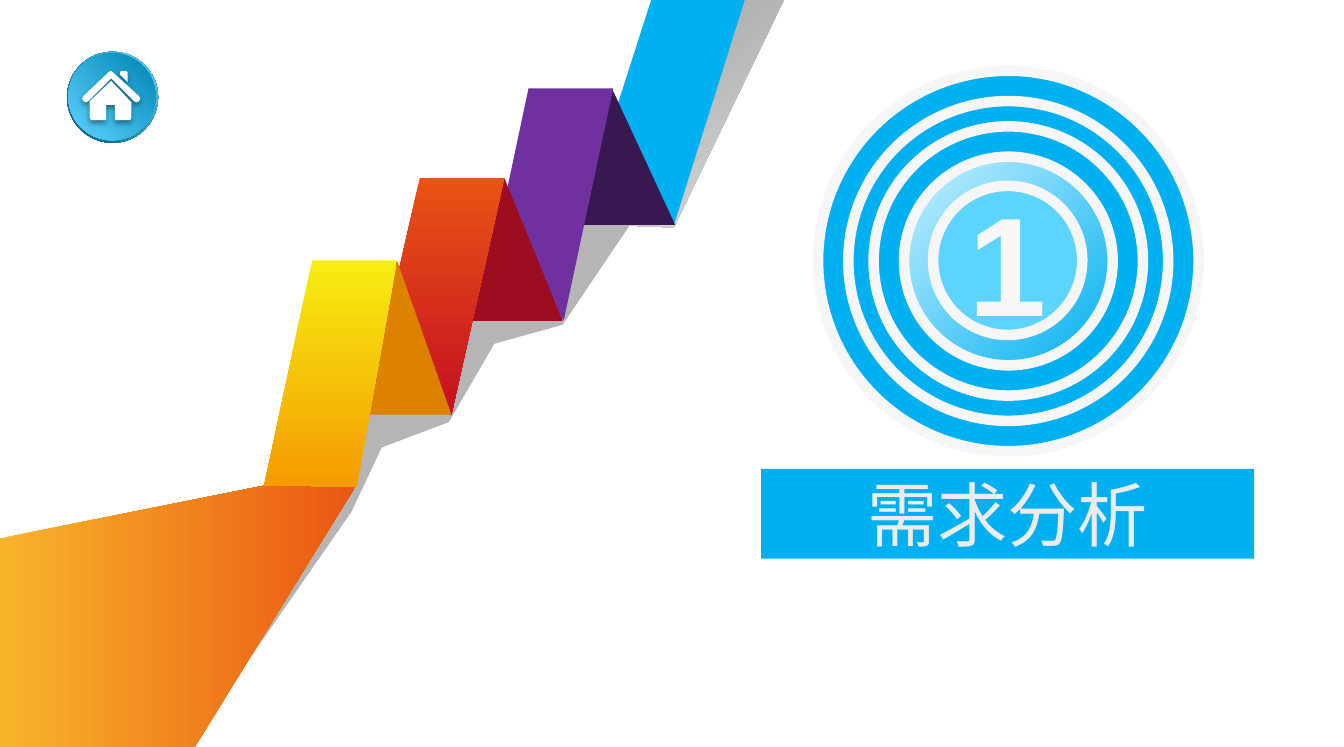
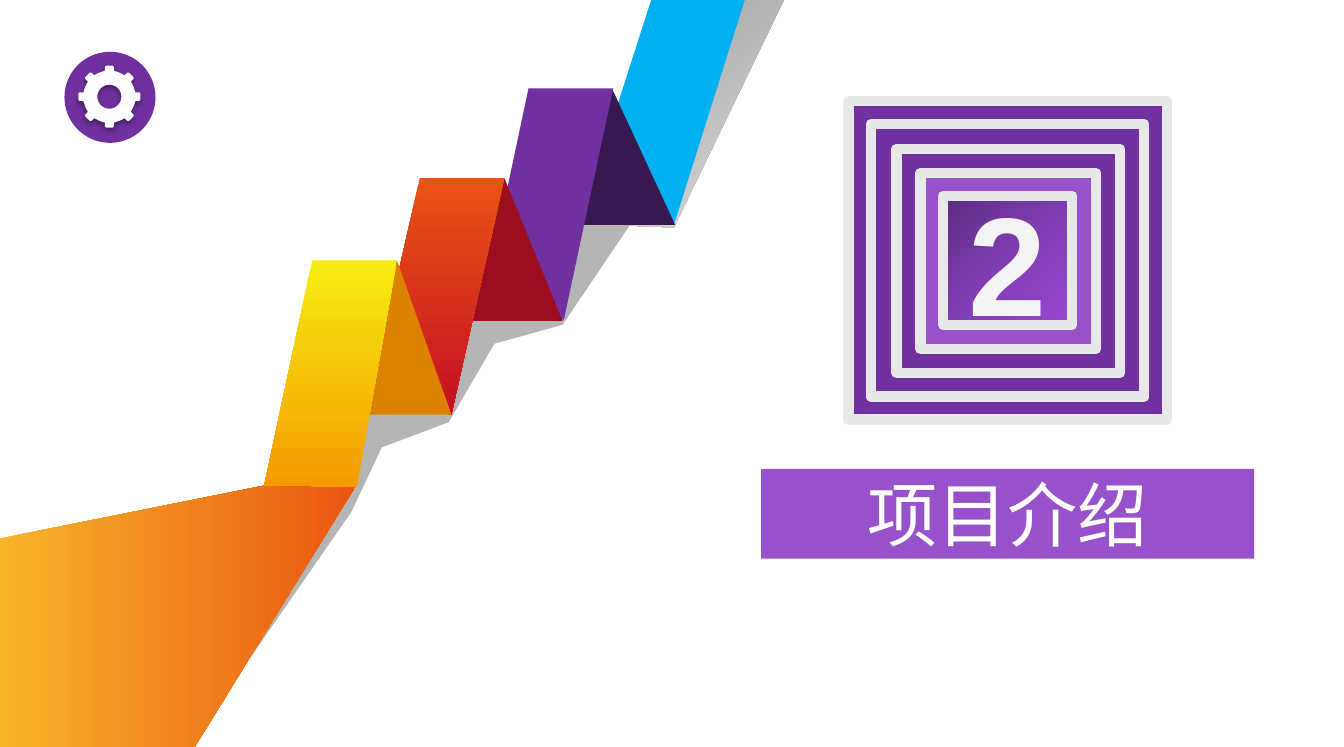
from math import cos, sin, pi, radians

from lxml import etree
from pptx import Presentation
from pptx.dml.color import RGBColor
from pptx.enum import shapes, text
from pptx.oxml import parse_xml
from pptx.oxml.ns import qn
from pptx.util import Pt

PX = 9144  # one px is a hundredth of an inch
NS = 'xmlns:a="http://schemas.openxmlformats.org/drawingml/2006/main"'
WHITE, BLUE, SKY, PURPLE, VIOLET = "FFFFFF", "00B0F0", "5DD4FF", "7030A0", "9751CB"
LATIN, CJK = "Arial", "Noto Sans CJK SC"
OVAL, RECT = shapes.MSO_SHAPE.OVAL, shapes.MSO_SHAPE.RECTANGLE
CX, CY = 797, 206  # centre of the number badge


def paint(sp, fill, line=None):
    """Fill is a hex string, or (hex stops, clockwise angle or "corner")."""
    sp.shadow.inherit = False
    if line:
        sp.line.color.rgb = RGBColor.from_string(line)
        sp.line.width = Pt(6)
    else:
        sp.line.fill.background()
    if isinstance(fill, str):
        sp.fill.solid()
        sp.fill.fore_color.rgb = RGBColor.from_string(fill)
        return sp
    stops, direction = fill
    gs = "".join(f'<a:gs pos="{100000 * i // (len(stops) - 1)}"><a:srgbClr val="{c}"/></a:gs>'
                 for i, c in enumerate(stops))
    if direction == "corner":
        way = '<a:path path="circle"><a:fillToRect l="100000" t="100000"/></a:path>'
    else:
        way = f'<a:lin ang="{direction * 60000}" scaled="0"/>'
    sp.fill.gradient()
    spPr = sp._element.spPr
    spPr.replace(spPr.find(qn("a:gradFill")),
                 parse_xml(f'<a:gradFill {NS} rotWithShape="1"><a:gsLst>{gs}</a:gsLst>{way}</a:gradFill>'))
    return sp


def outline(s, contours, fill):
    """Draw one freeform made of closed contours."""
    builder = None
    for contour in contours:
        (x, y), *rest = [(px * PX, py * PX) for px, py in contour]
        if builder is None:
            builder = s.shapes.build_freeform(x, y, scale=1.0)
        else:
            builder.move_to(x, y)
        builder.add_line_segments(rest, close=True)
    return paint(builder.convert_to_shape(), fill)


ribbon = [
    ([(483, 178), (534, 0), (620, 0), (533, 180)], (["9FA0A0", "DBDCDC"], 54)),
    ([(445, 257), (501, 174), (536, 154), (517, 120), (462, 150), (435, 196), (384, 221),
      (352, 273), (307, 293), (225, 418), (94, 484), (0, 586), (149, 591), (278, 405),
      (302, 354), (355, 334), (391, 272)], "B5B5B6"),
    ([(464, 159), (515, 0), (589, 0), (533, 178)], BLUE),
    ([(484, 70), (534, 178), (459, 178)], "381850"),
    ([(383, 235), (418, 70), (485, 70), (446, 253)], PURPLE),
    ([(399, 141), (445, 254), (371, 254)], "9C0D20"),
    ([(294, 309), (332, 141), (399, 141), (357, 328)], (["E95314", "C41023"], 90)),
    ([(314, 206), (357, 328), (282, 328)], "DD8100"),
    ([(0, 591), (0, 426), (210, 384), (281, 385), (154, 591)], (["F8B52B", "EA5712"], 0)),
    ([(209, 384), (247, 206), (314, 206), (282, 385)], (["F7ED11", "F49B01"], 90)),
]

house = [
    [(101, 57), (99, 56), (96, 56), (95, 57), (95, 59), (101, 65)],
    [(110, 76), (89, 57), (88, 56), (86, 57), (66, 76), (65, 78), (66, 80), (68, 81), (70, 80),
     (88, 62), (106, 80), (108, 81), (110, 80), (111, 78)],
    [(71, 80), (71, 93), (72, 95), (84, 95), (84, 83), (91, 83), (91, 95), (103, 95),
     (104, 93), (104, 81), (88, 64)],
]

GEAR_X, GEAR_Y = 86.5, 76.5
tooth = [(20.5, -3.5), (23.5, -3.5), (24.5, -2.5), (24.5, 2.5), (23.5, 3.5), (20.5, 3.5),
         (19.8, 6), (19, 8)]
rim = [(GEAR_X + a * cos(t) - b * sin(t), GEAR_Y + a * sin(t) + b * cos(t))
       for t in [k * pi / 4 for k in range(8)] for a, b in tooth]
hole = [(GEAR_X + 9.5 * cos(radians(d)), GEAR_Y - 9.5 * sin(radians(d))) for d in range(0, 360, 10)]

sections = [
    dict(title="需求分析", title_color="ECECEC", band=BLUE, number="1", number_color="F8F8F8",
         shape=OVAL, ring_line="F6F6F6",
         rings=[(301, BLUE), (253, BLUE), (213, BLUE), (165, ([BLUE, "C9F1FF"], "corner")), (118, SKY)],
         icon=house, icon_left=53,
         discs=[(["005878", SKY], 315), ([SKY, "0084B4"], 315)]),
    dict(title="项目介绍", title_color=WHITE, band=VIOLET, number="2", number_color="F4F4F4",
         shape=RECT, ring_line="E7E9E8",
         rings=[(252, PURPLE), (216, PURPLE), (177, PURPLE), (139, VIOLET),
                (102, (["5A2B7E", "803DB3", "9848D4"], 45))],
         icon=[rim, hole], icon_left=51, discs=[PURPLE, PURPLE]),
]

prs = Presentation()
prs.slide_width, prs.slide_height = 1063 * PX, 591 * PX

for sec in sections:
    s = prs.slides.add_slide(prs.slide_layouts[6])

    band = paint(s.shapes.add_shape(RECT, 602 * PX, 371 * PX, 390 * PX, 71 * PX), sec["band"])
    for size, fill in sec["rings"]:
        badge = paint(s.shapes.add_shape(sec["shape"], (CX - size // 2) * PX, (CY - size // 2) * PX,
                                         size * PX, size * PX), fill, sec["ring_line"])

    for sp, words, size, font, color, bold in (
            (band, sec["title"], 40, CJK, sec["title_color"], False),
            (badge, sec["number"], 80, LATIN, sec["number_color"], True)):
        tf = sp.text_frame
        tf.vertical_anchor = text.MSO_ANCHOR.MIDDLE
        p = tf.paragraphs[0]
        p.text = words
        p.alignment = text.PP_ALIGN.CENTER
        p.font.size, p.font.bold, p.font.name = Pt(size), bold, font
        p.font.color.rgb = RGBColor.from_string(color)
        etree.SubElement(p._p.pPr.find(qn("a:defRPr")), qn("a:ea"), typeface=font)

    for inset, size, fill in zip((0, 1), (72, 69), sec["discs"]):
        paint(s.shapes.add_shape(OVAL, (sec["icon_left"] + inset) * PX, (41 + inset) * PX,
                                 size * PX, size * PX), fill)
    icon = outline(s, sec["icon"], WHITE)
    icon._element.spPr.find(qn("a:effectLst")).append(parse_xml(
        f'<a:outerShdw {NS} blurRad="39370" dist="20320" dir="5400000">'
        '<a:srgbClr val="000000"><a:alpha val="38000"/></a:srgbClr></a:outerShdw>'))

    for points, fill in ribbon:
        outline(s, [points], fill)

prs.save("out.pptx")
